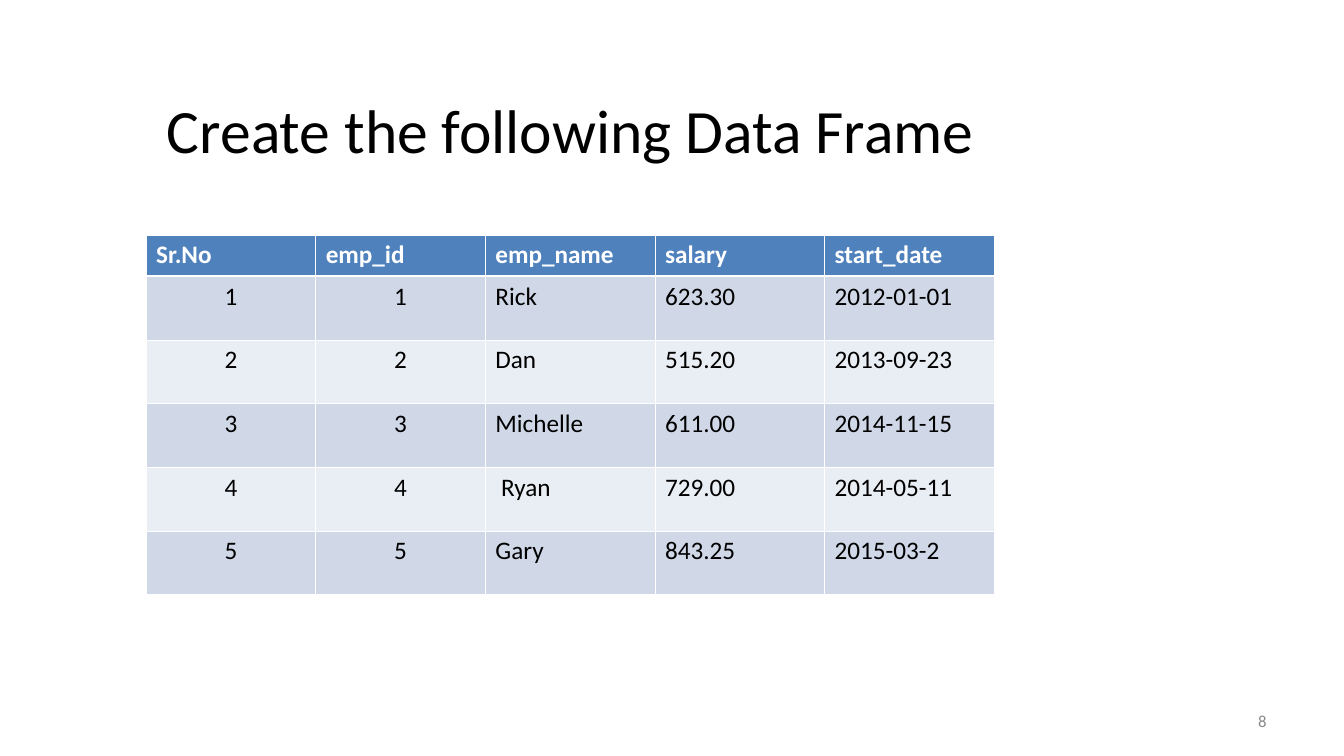
from lxml.etree import SubElement
from pptx import Presentation
from pptx.dml.color import RGBColor
from pptx.enum.text import MSO_ANCHOR, PP_ALIGN
from pptx.oxml.ns import qn
from pptx.util import Inches, Pt

BLACK = RGBColor(0x00, 0x00, 0x00)
WHITE = RGBColor(0xFF, 0xFF, 0xFF)
GRAY = RGBColor(0x89, 0x89, 0x89)
BLUE = RGBColor(0x4F, 0x81, 0xBD)
DARK = RGBColor(0xD0, 0xD8, 0xE8)
LIGHT = RGBColor(0xE9, 0xED, 0xF4)

HEADS = ["Sr.No", "emp_id", "emp_name", "salary", "start_date"]
STAFF = [
    ["1", "1", "Rick", "623.30", "2012-01-01"],
    ["2", "2", "Dan", "515.20", "2013-09-23"],
    ["3", "3", "Michelle", "611.00", "2014-11-15"],
    ["4", "4", " Ryan", "729.00", "2014-05-11"],
    ["5", "5", "Gary", "843.25", "2015-03-2"],
]
HEAD_H = 0.41
THIN, THICK = 0.45, 1.47


def put_text(frame, text, size=18, color=BLACK, bold=False, align=PP_ALIGN.LEFT):
    para = frame.paragraphs[0]
    para.alignment = align
    run = para.add_run()
    run.text = text
    font = run.font
    font.name = "Calibri"
    font.size = Pt(size)
    font.bold = bold
    font.color.rgb = color


def add_label(slide, box, text, **style):
    """Add a text box whose text is centred vertically."""
    frame = slide.shapes.add_textbox(*map(Inches, box)).text_frame
    frame.word_wrap = True
    frame.vertical_anchor = MSO_ANCHOR.MIDDLE
    put_text(frame, text, **style)


def set_edges(cell, top, bottom):
    """Draw white cell borders; widths are in points."""
    props = cell._tc.get_or_add_tcPr()
    for side, width in zip("LRTB", (THIN, THIN, top, bottom)):
        line = SubElement(props, qn("a:ln" + side), w=str(int(Pt(width))))
        fill = SubElement(line, qn("a:solidFill"))
        SubElement(fill, qn("a:srgbClr"), val=str(WHITE))


def add_grid(slide, box, heads, rows):
    left, top, width, height = box
    data = [heads] + rows
    table = slide.shapes.add_table(
        len(data), len(heads), *map(Inches, box)).table
    for col in table.columns:
        col.width = Inches(width / len(heads))
    for i, values in enumerate(data):
        head = i == 0
        table.rows[i].height = Inches(
            HEAD_H if head else (height - HEAD_H) / len(rows))
        for j, text in enumerate(values):
            cell = table.cell(i, j)
            set_edges(cell, THICK if i == 1 else THIN, THICK if head else THIN)
            cell.fill.solid()
            cell.fill.fore_color.rgb = BLUE if head else DARK if i % 2 else LIGHT
            center = j < 2 and not head
            put_text(cell.text_frame, text, bold=head,
                     color=WHITE if head else BLACK,
                     align=PP_ALIGN.CENTER if center else PP_ALIGN.LEFT)


def main():
    deck = Presentation()
    deck.slide_width = Inches(13.34)
    deck.slide_height = Inches(7.5)
    slide = deck.slides.add_slide(deck.slide_layouts[6])
    add_label(slide, (0.75, 0.65, 9.83, 1.25), "Create the following Data Frame",
              size=44, align=PP_ALIGN.CENTER)
    add_label(slide, (9.56, 6.95, 3.11, 0.4), "8",
              size=12, color=GRAY, align=PP_ALIGN.RIGHT)
    add_grid(slide, (1.45, 2.33, 8.42, 3.57), HEADS, STAFF)
    deck.save("out.pptx")


if __name__ == "__main__":
    main()
